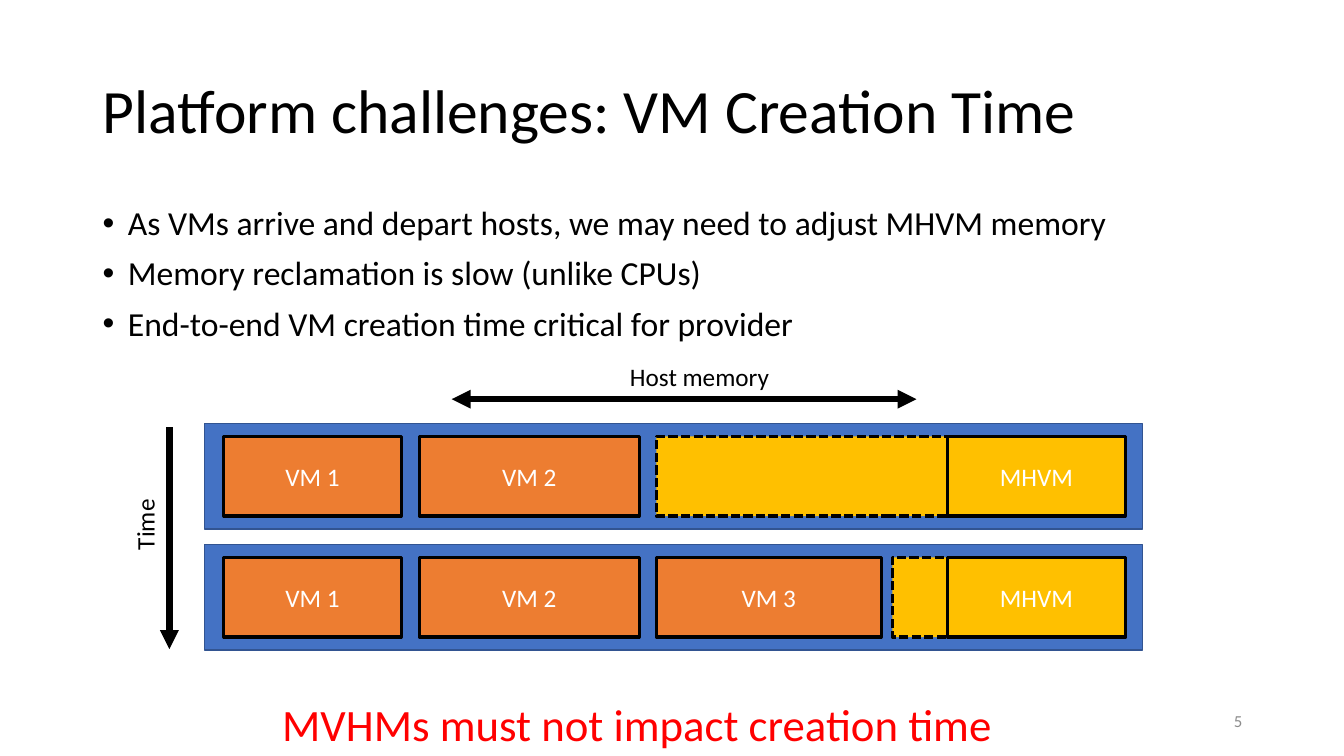
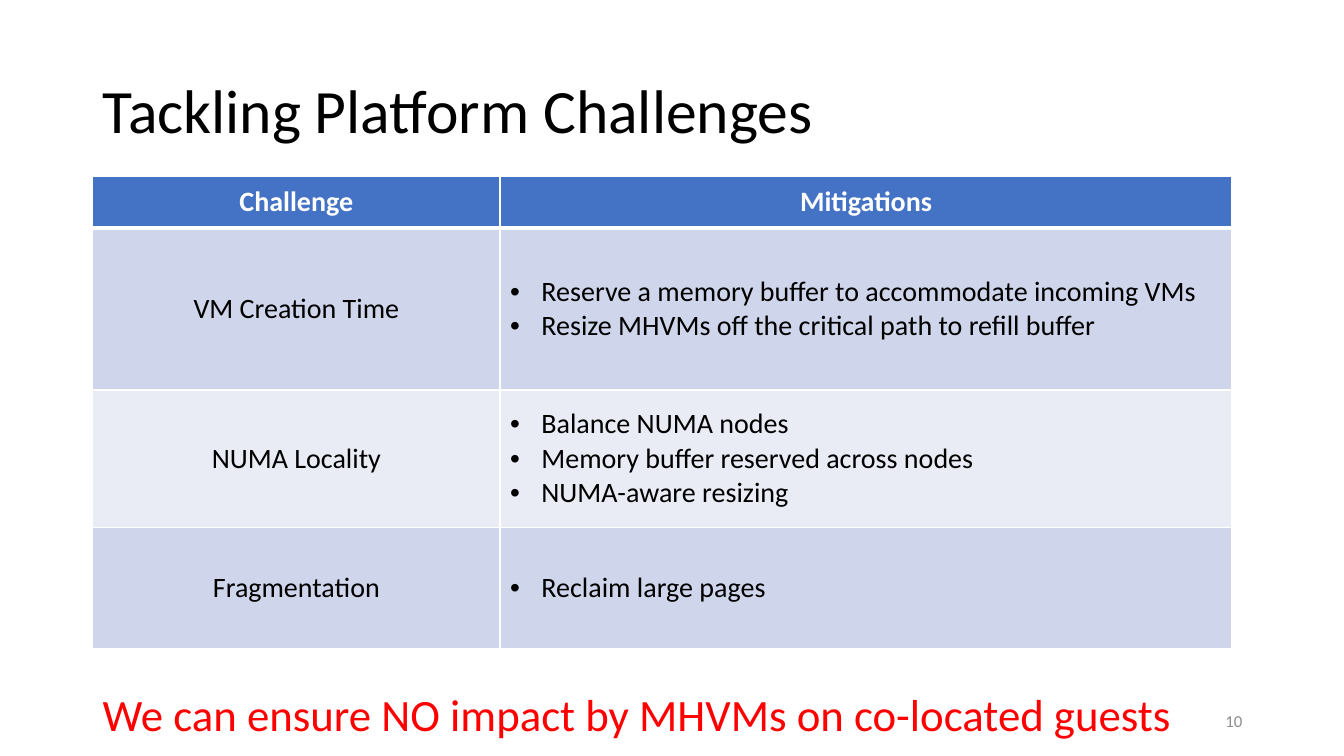
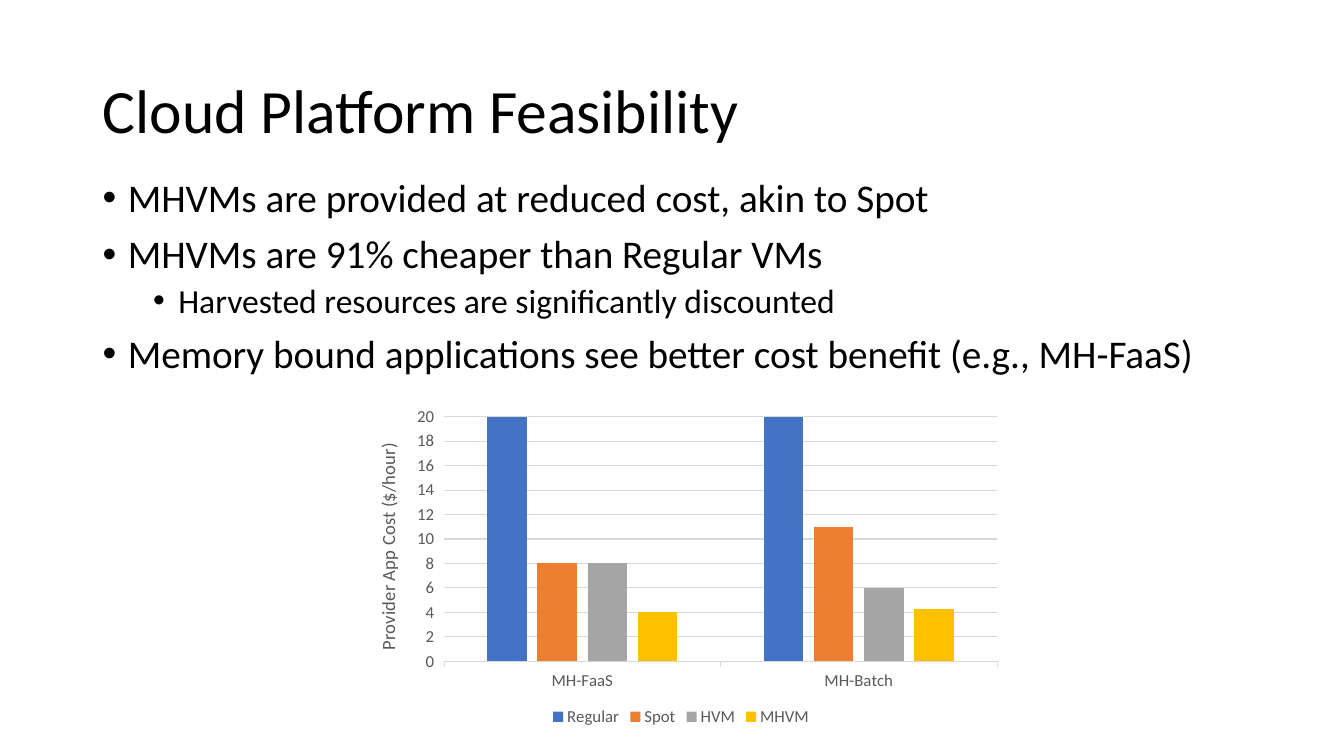
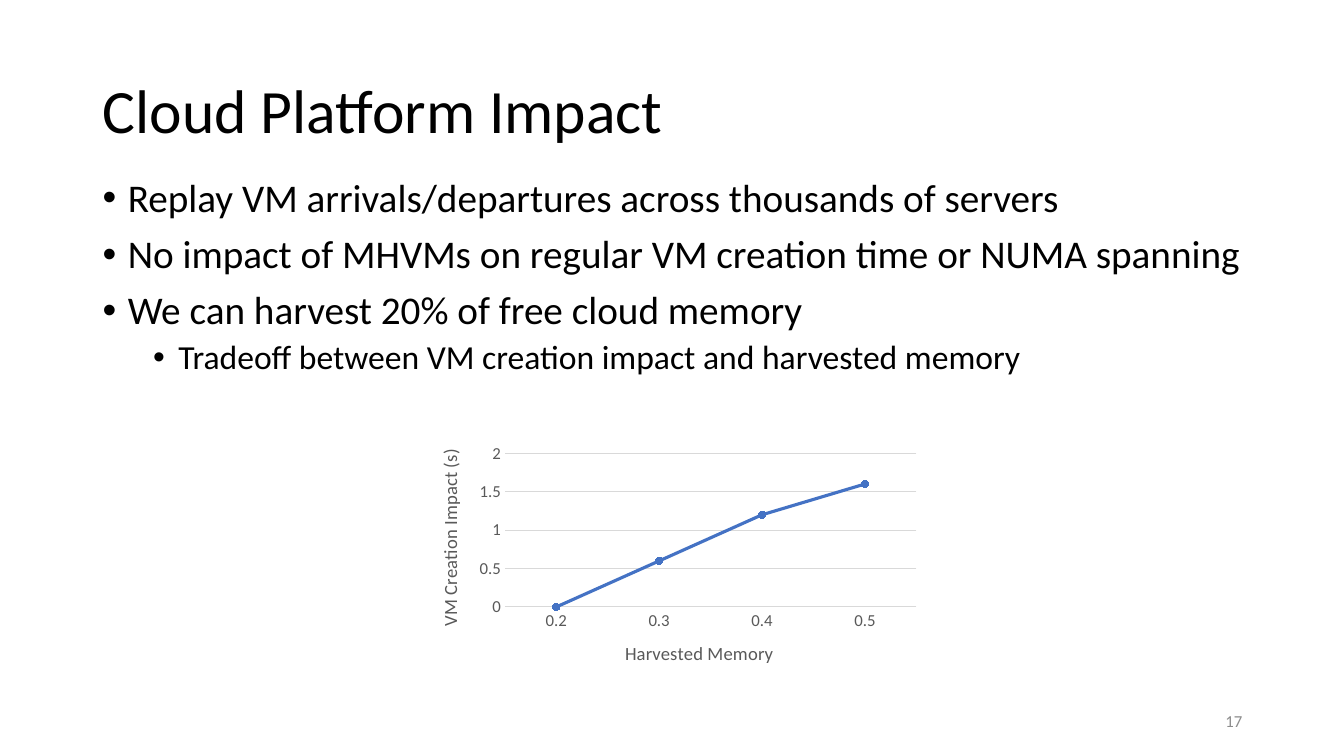
from lxml.etree import SubElement
from pptx import Presentation
from pptx.chart.data import CategoryChartData
from pptx.dml.color import RGBColor
from pptx.enum.chart import (XL_CHART_TYPE, XL_LEGEND_POSITION,
                             XL_MARKER_STYLE, XL_TICK_MARK)
from pptx.enum.dml import MSO_LINE
from pptx.enum.shapes import MSO_CONNECTOR, MSO_SHAPE
from pptx.enum.text import MSO_ANCHOR, MSO_AUTO_SIZE, PP_ALIGN
from pptx.oxml.ns import qn
from pptx.oxml.xmlchemy import OxmlElement
from pptx.util import Inches, Pt

FONT = "Calibri"
TITLE_ONLY = 5
BLACK = RGBColor(0x00, 0x00, 0x00)
WHITE = RGBColor(0xFF, 0xFF, 0xFF)
RED = RGBColor(0xFF, 0x00, 0x00)
BLUE = RGBColor(0x44, 0x72, 0xC4)
DARK_BLUE = RGBColor(0x32, 0x54, 0x91)
ORANGE = RGBColor(0xED, 0x7D, 0x31)
GRAY = RGBColor(0xA5, 0xA5, 0xA5)
GOLD = RGBColor(0xFF, 0xC0, 0x00)
BAND_DARK = RGBColor(0xCF, 0xD5, 0xEA)
BAND_LIGHT = RGBColor(0xE9, 0xEB, 0xF5)
AXIS_TEXT = RGBColor(0x59, 0x59, 0x59)
GRID = RGBColor(0xD9, 0xD9, 0xD9)
NUMBER_GRAY = RGBColor(0x8C, 0x8C, 0x8C)


def style_font(font, size, color, bold=False):
    """Apply the deck font with a size and colour."""
    font.name = FONT
    font.size = Pt(size)
    font.bold = bold
    font.color.rgb = color


def style_paragraph(paragraph, size, color, align=PP_ALIGN.LEFT, bold=False):
    """Align a paragraph and format its runs."""
    paragraph.alignment = align
    for run in paragraph.runs:
        style_font(run.font, size, color, bold)


def add_bullet(paragraph, left, hanging):
    """Give a paragraph a round bullet with a hanging indent."""
    properties = paragraph._p.get_or_add_pPr()
    properties.set("marL", str(Inches(left)))
    properties.set("indent", str(-Inches(hanging)))
    SubElement(properties, qn("a:buFont")).set("typeface", "Arial")
    SubElement(properties, qn("a:buChar")).set("char", "•")


def add_titled_slide(presentation, title, number=None):
    """Add a slide with the shared title style and optional number."""
    slide = presentation.slides.add_slide(presentation.slide_layouts[TITLE_ONLY])
    shape = slide.shapes.title
    shape.left, shape.top = Inches(0.92), Inches(0.4)
    shape.width, shape.height = Inches(11.5), Inches(1.45)
    text_frame = shape.text_frame
    text_frame.text = title
    text_frame.auto_size = MSO_AUTO_SIZE.NONE
    text_frame.vertical_anchor = MSO_ANCHOR.MIDDLE
    paragraph = text_frame.paragraphs[0]
    paragraph.line_spacing = 0.9
    style_paragraph(paragraph, 44, BLACK)
    if number is not None:
        label = add_label(slide, str(number), 9.42, 6.95, 3, 0.4, 12,
                          NUMBER_GRAY, PP_ALIGN.RIGHT, wrap=True)
        label.text_frame.vertical_anchor = MSO_ANCHOR.MIDDLE
    return slide


def add_label(slide, text, left, top, width, height, size, color,
              align=PP_ALIGN.LEFT, wrap=False):
    """Add a one-line text box."""
    shape = slide.shapes.add_textbox(Inches(left), Inches(top),
                                     Inches(width), Inches(height))
    shape.text_frame.text = text
    shape.text_frame.word_wrap = wrap
    style_paragraph(shape.text_frame.paragraphs[0], size, color, align)
    return shape


def add_bullets(slide, items, top, width, size):
    """Add a two-level bullet list from (level, text) pairs."""
    shape = slide.shapes.add_textbox(Inches(0.92), Inches(top),
                                     Inches(width), Inches(4.76))
    text_frame = shape.text_frame
    text_frame.word_wrap = True
    text_frame.text = "\n".join(text for _, text in items)
    for paragraph, (level, _) in zip(text_frame.paragraphs, items):
        paragraph.level = level
        paragraph.line_spacing = 0.9
        paragraph.space_before = Pt(5 if level else 10)
        style_paragraph(paragraph, 24 if level else size, BLACK)
        add_bullet(paragraph, 0.25 + 0.5 * level, 0.25)


def add_box(slide, left, top, width, height, fill, text="",
            line=BLACK, weight=2.25, dash=None):
    """Add an outlined rectangle with centred white text."""
    shape = slide.shapes.add_shape(MSO_SHAPE.RECTANGLE, Inches(left), Inches(top),
                                   Inches(width), Inches(height))
    shape.shadow.inherit = False
    shape.fill.solid()
    shape.fill.fore_color.rgb = fill
    shape.line.color.rgb = line
    shape.line.width = Pt(weight)
    if dash:
        shape.line.dash_style = dash
    if text:
        shape.text_frame.text = text
        shape.text_frame.vertical_anchor = MSO_ANCHOR.MIDDLE
        style_paragraph(shape.text_frame.paragraphs[0], 18, WHITE, PP_ALIGN.CENTER)


def add_arrow(slide, start, end, ends):
    """Add a thick black arrow with triangles at the named ends."""
    connector = slide.shapes.add_connector(
        MSO_CONNECTOR.STRAIGHT, *map(Inches, start + end))
    connector.line.color.rgb = BLACK
    connector.line.width = Pt(4.5)
    outline = connector.line._get_or_add_ln()
    for name in ends:
        SubElement(outline, qn(name)).set("type", "triangle")
    SubElement(connector._element.spPr, qn("a:effectLst"))


def add_host(slide, top, machines, harvest_left):
    """Draw one host's memory with its VMs and the harvested part."""
    inner_top, inner_height, right = top + 0.13, 0.79, 11.16
    add_box(slide, 2.03, top, 9.3, 1.05, BLUE, line=DARK_BLUE, weight=1)
    for text, left, width in machines:
        add_box(slide, left, inner_top, width, inner_height, ORANGE, text)
    add_box(slide, harvest_left, inner_top, right - harvest_left, inner_height,
            GOLD, dash=MSO_LINE.SQUARE_DOT)
    add_box(slide, 9.4, inner_top, 1.76, inner_height, GOLD, "MHVM")


def set_borders(cell, bottom):
    """Draw white cell borders with the given bottom weight."""
    properties = cell._tc.get_or_add_tcPr()
    for side, weight in (("L", 1), ("R", 1), ("T", 1), ("B", bottom)):
        border = SubElement(properties, qn(f"a:ln{side}"))
        border.set("w", str(Pt(weight)))
        fill = SubElement(border, qn("a:solidFill"))
        SubElement(fill, qn("a:srgbClr")).set("val", str(WHITE))


def fill_cell(cell, lines, fill, header=False, bulleted=False):
    """Write and format one table cell."""
    set_borders(cell, 3 if header else 1)
    cell.fill.solid()
    cell.fill.fore_color.rgb = fill
    cell.vertical_anchor = MSO_ANCHOR.MIDDLE
    cell.text_frame.text = "\n".join(lines)
    for paragraph in cell.text_frame.paragraphs:
        style_paragraph(paragraph, 20, WHITE if header else BLACK,
                        PP_ALIGN.LEFT if bulleted else PP_ALIGN.CENTER, header)
        if bulleted:
            add_bullet(paragraph, 0.31, 0.31)


def add_mitigation_table(slide, rows):
    """Add the table of challenges and their mitigations."""
    widths, heights = (4.04, 7.26), (0.51, 1.61, 1.36, 1.21)
    table = slide.shapes.add_table(
        len(heights), len(widths), Inches(0.92), Inches(1.75),
        Inches(sum(widths)), Inches(sum(heights))).table
    for column, width in zip(table.columns, widths):
        column.width = Inches(width)
    for row, height in zip(table.rows, heights):
        row.height = Inches(height)
    for index, heading in enumerate(("Challenge", "Mitigations")):
        fill_cell(table.cell(0, index), [heading], BLUE, header=True)
    for index, (challenge, mitigations) in enumerate(rows, start=1):
        band = BAND_DARK if index % 2 else BAND_LIGHT
        fill_cell(table.cell(index, 0), [challenge], band)
        fill_cell(table.cell(index, 1), mitigations, band, bulleted=True)


def set_layout(element, index, **fractions):
    """Place a chart part by fractions of the chart's size."""
    for previous in element.findall(qn("c:layout")):
        element.remove(previous)
    layout = OxmlElement("c:layout")
    element.insert(index, layout)
    manual = SubElement(layout, qn("c:manualLayout"))
    if "w" in fractions:
        SubElement(manual, qn("c:layoutTarget")).set("val", "inner")
    for name in ("xMode", "yMode"):
        SubElement(manual, qn(f"c:{name}")).set("val", "edge")
    for name, value in fractions.items():
        SubElement(manual, qn(f"c:{name}")).set("val", str(value))


def add_axis_title(axis, text, x, y):
    """Add a gray axis title at a place within the chart."""
    title = axis.axis_title
    title.text_frame.text = text
    style_font(title.text_frame.paragraphs[0].runs[0].font, 13.3, AXIS_TEXT)
    set_layout(title._element, 1, x=x, y=y)


def add_styled_chart(slide, kind, place, categories, series, plot_area, maximum, step):
    """Add a chart with the shared axis and grid style."""
    data = CategoryChartData()
    data.categories = categories
    for name, values in series:
        data.add_series(name, values)
    chart = slide.shapes.add_chart(kind, *map(Inches, place), data).chart
    chart.has_title = False
    chart.has_legend = False
    style_font(chart.font, 10, BLACK)
    for axis in (chart.category_axis, chart.value_axis):
        style_font(axis.tick_labels.font, 12, AXIS_TEXT)
        axis.major_tick_mark = XL_TICK_MARK.NONE
    category_line = chart.category_axis.format.line
    grid_line = chart.value_axis.major_gridlines.format.line
    for line in (category_line, grid_line):
        line.color.rgb = GRID
        line.width = Pt(0.75)
    value_axis = chart.value_axis
    value_axis.format.line.fill.background()
    value_axis.minimum_scale = 0
    value_axis.maximum_scale = maximum
    value_axis.major_unit = step
    chart.plots[0].vary_by_categories = False
    set_layout(chart._chartSpace.find(".//" + qn("c:plotArea")), 0, **plot_area)
    return chart


def add_cost_chart(slide):
    """Add the clustered columns of application cost."""
    series = [("Regular", (50, 50)), ("Spot", (8, 11)),
              ("HVM", (8, 6)), ("MHVM", (4, 4.3))]
    chart = add_styled_chart(
        slide, XL_CHART_TYPE.COLUMN_CLUSTERED, (3.49, 3.97, 6.53, 3.28),
        ("MH-FaaS", "MH-Batch"), series,
        {"x": 0.14, "y": 0.05, "w": 0.84, "h": 0.74}, 20, 2)
    chart.category_axis.major_tick_mark = XL_TICK_MARK.OUTSIDE
    chart.value_axis.major_tick_mark = XL_TICK_MARK.OUTSIDE
    add_axis_title(chart.value_axis, "Provider App Cost ($/hour)", 0.03, 0.12)
    chart.has_legend = True
    chart.legend.position = XL_LEGEND_POSITION.BOTTOM
    chart.legend.include_in_layout = False
    style_font(chart.legend.font, 12, AXIS_TEXT)
    plot = chart.plots[0]
    plot.gap_width = 219
    plot.overlap = -27
    for column, color in zip(plot.series, (BLUE, ORANGE, GRAY, GOLD)):
        column.format.fill.solid()
        column.format.fill.fore_color.rgb = color


def add_impact_chart(slide):
    """Add the line of creation impact against harvested memory."""
    chart = add_styled_chart(
        slide, XL_CHART_TYPE.LINE_MARKERS, (4.15, 4.35, 5.04, 2.46),
        ("0.2", "0.3", "0.4", "0.5"), [("Series 1", (0, 0.6, 1.2, 1.6))],
        {"x": 0.17, "y": 0.06, "w": 0.81, "h": 0.62}, 2, 0.5)
    add_axis_title(chart.value_axis, "VM Creation Impact (s)", 0.03, 0.03)
    add_axis_title(chart.category_axis, "Harvested Memory", 0.4, 0.8)
    impact = chart.plots[0].series[0]
    impact.smooth = False
    impact.format.line.color.rgb = BLUE
    impact.format.line.width = Pt(2.25)
    impact.marker.style = XL_MARKER_STYLE.CIRCLE
    impact.marker.size = 5
    impact.marker.format.fill.solid()
    impact.marker.format.fill.fore_color.rgb = BLUE
    impact.marker.format.line.color.rgb = BLUE


def build_creation_time(presentation):
    """Build the slide on VM creation time."""
    slide = add_titled_slide(presentation, "Platform challenges: VM Creation Time", 5)
    add_bullets(slide, [
        (0, "As VMs arrive and depart hosts, we may need to adjust MHVM memory"),
        (0, "Memory reclamation is slow (unlike CPUs)"),
        (0, "End-to-end VM creation time critical for provider"),
    ], 2, 11.5, 24)
    add_label(slide, "MVHMs must not impact creation time",
              2.7, 6.86, 7.32, 0.64, 32, RED)
    machines = [("VM 1", 2.22, 1.76), ("VM 2", 4.16, 2.18), ("VM 3", 6.51, 2.23)]
    add_host(slide, 4.2, machines[:2], 6.51)
    add_host(slide, 5.4, machines, 8.85)
    add_arrow(slide, (1.68, 4.24), (1.68, 6.44), ["a:tailEnd"])
    add_label(slide, "Time", 1.08, 5, 0.71, 0.4, 18, BLACK).rotation = 270
    add_arrow(slide, (9.09, 3.96), (4.48, 3.96), ["a:headEnd", "a:tailEnd"])
    add_label(slide, "Host memory", 6.15, 3.54, 1.6, 0.4, 18, BLACK)


def build_mitigations(presentation):
    """Build the slide on mitigations."""
    slide = add_titled_slide(presentation, "Tackling Platform Challenges", 10)
    add_label(slide, "We can ensure NO impact by MHVMs on co-located guests",
              0.92, 6.76, 10.91, 0.64, 32, RED)
    add_mitigation_table(slide, [
        ("VM Creation Time", ["Reserve a memory buffer to accommodate incoming VMs",
                              "Resize MHVMs off the critical path to refill buffer"]),
        ("NUMA Locality", ["Balance NUMA nodes",
                           "Memory buffer reserved across nodes",
                           "NUMA-aware resizing"]),
        ("Fragmentation", ["Reclaim large pages"]),
    ])


def build_feasibility(presentation):
    """Build the slide on cost."""
    slide = add_titled_slide(presentation, "Cloud Platform Feasibility")
    add_bullets(slide, [
        (0, "MHVMs are provided at reduced cost, akin to Spot"),
        (0, "MHVMs are 91% cheaper than Regular VMs"),
        (1, "Harvested resources are significantly discounted"),
        (0, "Memory bound applications see better cost benefit (e.g., MH-FaaS)"),
    ], 1.72, 11.76, 28)
    add_cost_chart(slide)


def build_impact(presentation):
    """Build the slide on platform impact."""
    slide = add_titled_slide(presentation, "Cloud Platform Impact", 17)
    add_bullets(slide, [
        (0, "Replay VM arrivals/departures across thousands of servers"),
        (0, "No impact of MHVMs on regular VM creation time or NUMA spanning"),
        (0, "We can harvest 20% of free cloud memory"),
        (1, "Tradeoff between VM creation impact and harvested memory"),
    ], 1.72, 11.76, 28)
    add_impact_chart(slide)


def main():
    """Build and save the presentation."""
    presentation = Presentation()
    presentation.slide_width = Inches(13.33)
    presentation.slide_height = Inches(7.5)
    build_creation_time(presentation)
    build_mitigations(presentation)
    build_feasibility(presentation)
    build_impact(presentation)
    presentation.save("out.pptx")


main()
